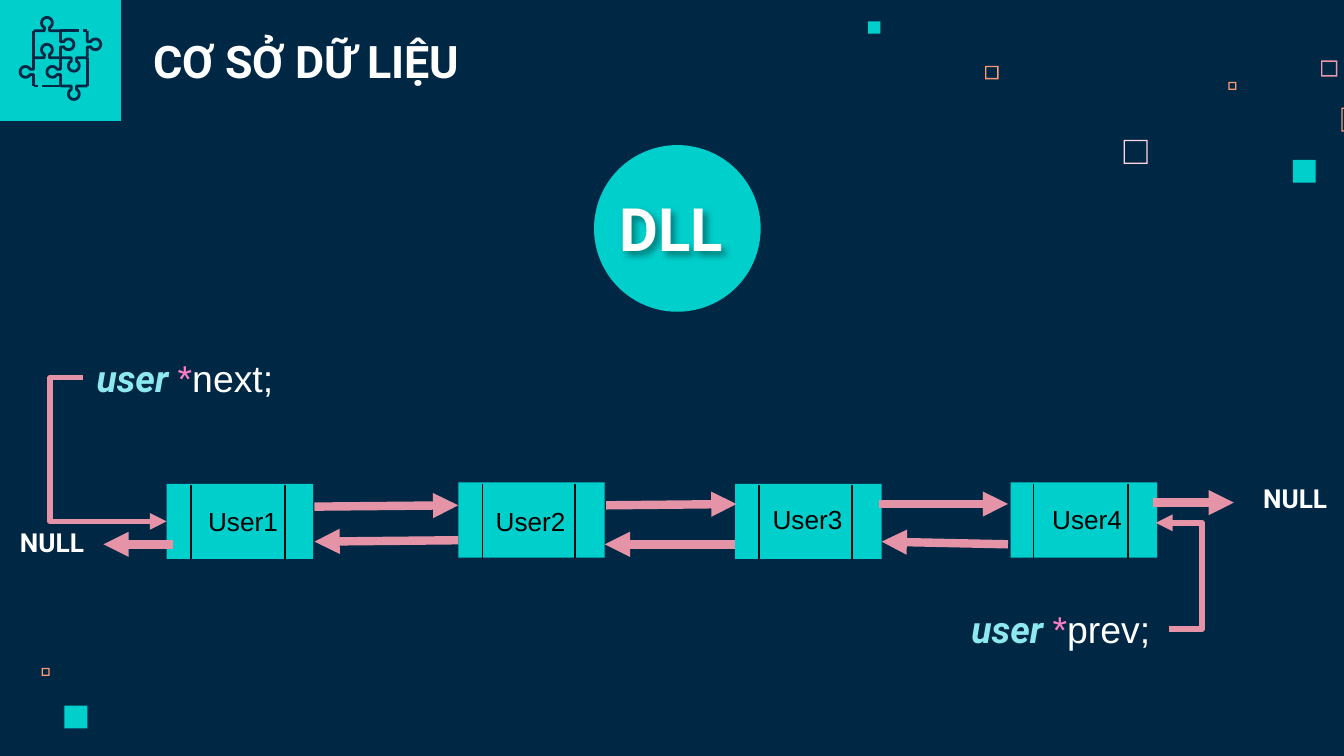
from dataclasses import dataclass
from math import cos, hypot, pi, sin

from lxml import etree
from pptx import Presentation
from pptx import util as u
from pptx.dml import color
from pptx.enum import shapes, text
from pptx.oxml import ns

COLORS = {
    "navy": "002845", "teal": "00CFCC", "pink": "E593A7", "rose": "E898AC",
    "blush": "FFD6E1", "orange": "FF9973", "white": "FFFFFF", "black": "000000",
    "divider": "080808", "type": "8EE9EF", "star": "FF7CC7",
}
Point = tuple[float, float]


@dataclass
class Square:
    left: float
    top: float
    size: float
    color: str
    hollow: bool = True


@dataclass
class Node:
    name: str
    left: float
    top: float
    dividers: tuple[float, float]
    label_left: float
    label_top: float
    label_width: float = 0.72


@dataclass
class Span:
    words: str
    size: float
    color: str = "white"
    font: str = "Roboto"
    bold: bool = False
    italic: bool = False


@dataclass
class Arrow:
    start: Point
    end: Point
    bend: float | None = None


SQUARES = [
    Square(8.36, 1.04, 0.18, "blush"), Square(9.83, 0.45, 0.12, "rose"),
    Square(9.14, 0.61, 0.06, "orange"), Square(9.98, 0.8, 0.18, "orange"),
    Square(9.62, 1.19, 0.17, "teal", False), Square(7.33, 0.49, 0.1, "orange"),
    Square(6.46, 0.16, 0.09, "teal", False), Square(0.31, 4.97, 0.06, "orange"),
    Square(0.48, 5.25, 0.17, "teal", False),
]
NODES = [
    Node("User1", 1.24, 3.6, (1.42, 2.12), 1.45, 3.71),
    Node("User2", 3.41, 3.59, (3.59, 4.28), 3.59, 3.71),
    Node("User3", 5.47, 3.6, (5.65, 6.34), 5.65, 3.7),
    Node("User4", 7.52, 3.59, (7.69, 8.39), 7.73, 3.7, 0.79),
]
ARROWS = [
    # next
    Arrow((2.34, 3.77), (3.41, 3.76)), Arrow((4.51, 3.76), (5.48, 3.75)),
    Arrow((6.54, 3.75), (7.5, 3.75)), Arrow((8.58, 3.74), (9.18, 3.74)),
    # previous
    Arrow((7.5, 4.05), (6.56, 4.03)), Arrow((5.47, 4.05), (4.5, 4.05)),
    Arrow((3.41, 4.02), (2.34, 4.03)), Arrow((1.29, 4.05), (0.77, 4.05)),
    # pointers from the declarations
    Arrow((0.62, 2.81), (1.24, 3.88), -0.4), Arrow((8.7, 4.68), (8.6, 3.89), -2.46),
]
# Puzzle edges run clockwise, so each knob lies on the left-hand side
KNOB_EDGES = [
    ((0.25, 0.23), (0.45, 0.23)), ((0.65, 0.23), (0.65, 0.43)),
    ((0.65, 0.64), (0.45, 0.64)), ((0.25, 0.64), (0.25, 0.43)),
    ((0.45, 0.23), (0.45, 0.43)), ((0.25, 0.43), (0.45, 0.43)),
    ((0.45, 0.64), (0.45, 0.43)), ((0.65, 0.43), (0.45, 0.43)),
]
PLAIN_EDGES = [
    ((0.45, 0.23), (0.59, 0.23)), ((0.62, 0.23), (0.65, 0.23)),
    ((0.65, 0.43), (0.65, 0.64)), ((0.45, 0.64), (0.31, 0.64)),
    ((0.28, 0.64), (0.25, 0.64)), ((0.25, 0.43), (0.25, 0.23)),
]

deck = Presentation()
deck.slide_width, deck.slide_height = u.Inches(10), u.Inches(5.625)
page = deck.slides.add_slide(deck.slide_layouts[5])


def rgb(name: str) -> color.RGBColor:
    return color.RGBColor.from_string(COLORS[name])


def add_block(kind, left: float, top: float, width: float, height: float, fill: str):
    block = page.shapes.add_shape(kind, *map(u.Inches, (left, top, width, height)))
    block.shadow.inherit = False
    block.fill.solid()
    block.fill.fore_color.rgb = rgb(fill)
    block.line.fill.background()
    return block


def add_line(start: Point, end: Point, stroke: str, width: float, bend: float | None = None):
    kind = shapes.MSO_CONNECTOR.STRAIGHT if bend is None else shapes.MSO_CONNECTOR.ELBOW
    line = page.shapes.add_connector(kind, *map(u.Inches, (*start, *end)))
    line.line.color.rgb = rgb(stroke)
    line.line.width = u.Pt(width)
    properties = line._element.spPr
    etree.SubElement(properties, ns.qn("a:effectLst"))
    if bend is not None:
        guides = properties.find(ns.qn("a:prstGeom")).get_or_add_avLst()
        etree.SubElement(guides, ns.qn("a:gd"), name="adj1", fmla=f"val {round(bend * 100000)}")
    return line


def add_arrow(arrow: Arrow) -> None:
    width = 4.5 if arrow.bend is None else 3
    line = add_line(arrow.start, arrow.end, "pink", width, arrow.bend)
    etree.SubElement(line.line._get_or_add_ln(), ns.qn("a:tailEnd"), type="triangle")


def write(box, spans: list[Span]) -> None:
    box.text_frame.word_wrap = True
    para = box.text_frame.paragraphs[0]
    para.alignment = text.PP_ALIGN.LEFT
    for span in spans:
        run = para.add_run()
        run.text = span.words
        run.font.name, run.font.size = span.font, u.Pt(span.size)
        run.font.bold, run.font.italic = span.bold, span.italic
        run.font.color.rgb = rgb(span.color)


def add_label(left: float, top: float, width: float, height: float, *spans: Span):
    box = page.shapes.add_textbox(*map(u.Inches, (left, top, width, height)))
    write(box, list(spans))
    return box


def knob_points(start: Point, end: Point) -> list[Point]:
    dx, dy = end[0] - start[0], end[1] - start[1]
    length = hypot(dx, dy)
    dx, dy = dx / length, dy / length
    middle_x, middle_y = (start[0] + end[0]) / 2, (start[1] + end[1]) / 2

    def at(along: float, out: float) -> Point:
        return middle_x + dx * along + dy * out, middle_y + dy * along - dx * out

    turns = [0.5 + (2 * pi - 1) * step / 24 for step in range(25)]
    arc = [at(-0.04 * sin(turn), 0.06 - 0.04 * cos(turn)) for turn in turns]
    return [start, at(-0.02, 0), *arc, at(0.02, 0), end]


def add_puzzle() -> None:
    contours = [knob_points(*edge) for edge in KNOB_EDGES] + [list(edge) for edge in PLAIN_EDGES]
    builder = page.shapes.build_freeform(*map(u.Inches, contours[0][0]))
    for contour in contours:
        first, *rest = [(u.Inches(x), u.Inches(y)) for x, y in contour]
        builder.move_to(*first)
        builder.add_line_segments(rest, close=False)
    puzzle = builder.convert_to_shape()
    puzzle.shadow.inherit = False
    puzzle.fill.background()
    puzzle.line.color.rgb = rgb("navy")
    puzzle.line.width = u.Pt(1.5)


# Background and scattered squares
page.background.fill.solid()
page.background.fill.fore_color.rgb = rgb("navy")
for square in SQUARES:
    kind = shapes.MSO_SHAPE.FRAME if square.hollow else shapes.MSO_SHAPE.RECTANGLE
    block = add_block(kind, square.left, square.top, square.size, square.size, square.color)
    if square.hollow:
        block.adjustments[0] = 0.01 / square.size

# Puzzle icon and title
add_block(shapes.MSO_SHAPE.RECTANGLE, 0, 0, 0.9, 0.9, "teal")
add_puzzle()
title = page.shapes.title
title.left, title.top, title.width, title.height = map(u.Inches, (1.04, 0.12, 3.39, 0.63))
frame = title.text_frame
frame.auto_size = text.MSO_AUTO_SIZE.NONE
frame.vertical_anchor = text.MSO_ANCHOR.BOTTOM
frame.margin_left = frame.margin_right = frame.margin_top = frame.margin_bottom = u.Inches(0.1)
write(title, [Span("CƠ SỞ DỮ LIỆU", 24, bold=True)])

# Circle with the list type
add_block(shapes.MSO_SHAPE.OVAL, 4.42, 1.08, 1.24, 1.24, "teal")
badge = add_label(4.51, 1.38, 1.08, 0.64, Span("DLL", 32, bold=True))
effects = etree.SubElement(badge._element.spPr, ns.qn("a:effectLst"))
shadow = etree.SubElement(effects, ns.qn("a:outerShdw"), blurRad="50800", dist="38100", dir="2700000")
tint = etree.SubElement(shadow, ns.qn("a:srgbClr"), val=COLORS["black"])
etree.SubElement(tint, ns.qn("a:alpha"), val="40000")

# List nodes
for node in NODES:
    add_block(shapes.MSO_SHAPE.RECTANGLE, node.left, node.top, 1.09, 0.56, "teal")
    for x in node.dividers:
        add_line((x, node.top + 0.01), (x, node.top + 0.56), "divider", 1)
    add_label(node.label_left, node.label_top, node.label_width, 0.34,
              Span(node.name, 14, "black", "Arial"))

# Arrows, list ends and pointer declarations
for arrow in ARROWS:
    add_arrow(arrow)
for left, top in ((0.05, 3.87), (9.3, 3.54)):
    add_label(left, top, 0.73, 0.34, Span("NULL", 14, bold=True))
for left, top, width, member in ((0.62, 2.59, 2.35, "next;"), (7.13, 4.46, 1.56, "prev;")):
    add_label(left, top, width, 0.44, Span("user ", 20, "type", bold=True, italic=True),
              Span("*", 20, "star", "Arial"), Span(member, 20, font="Arial"))

deck.save("out.pptx")
